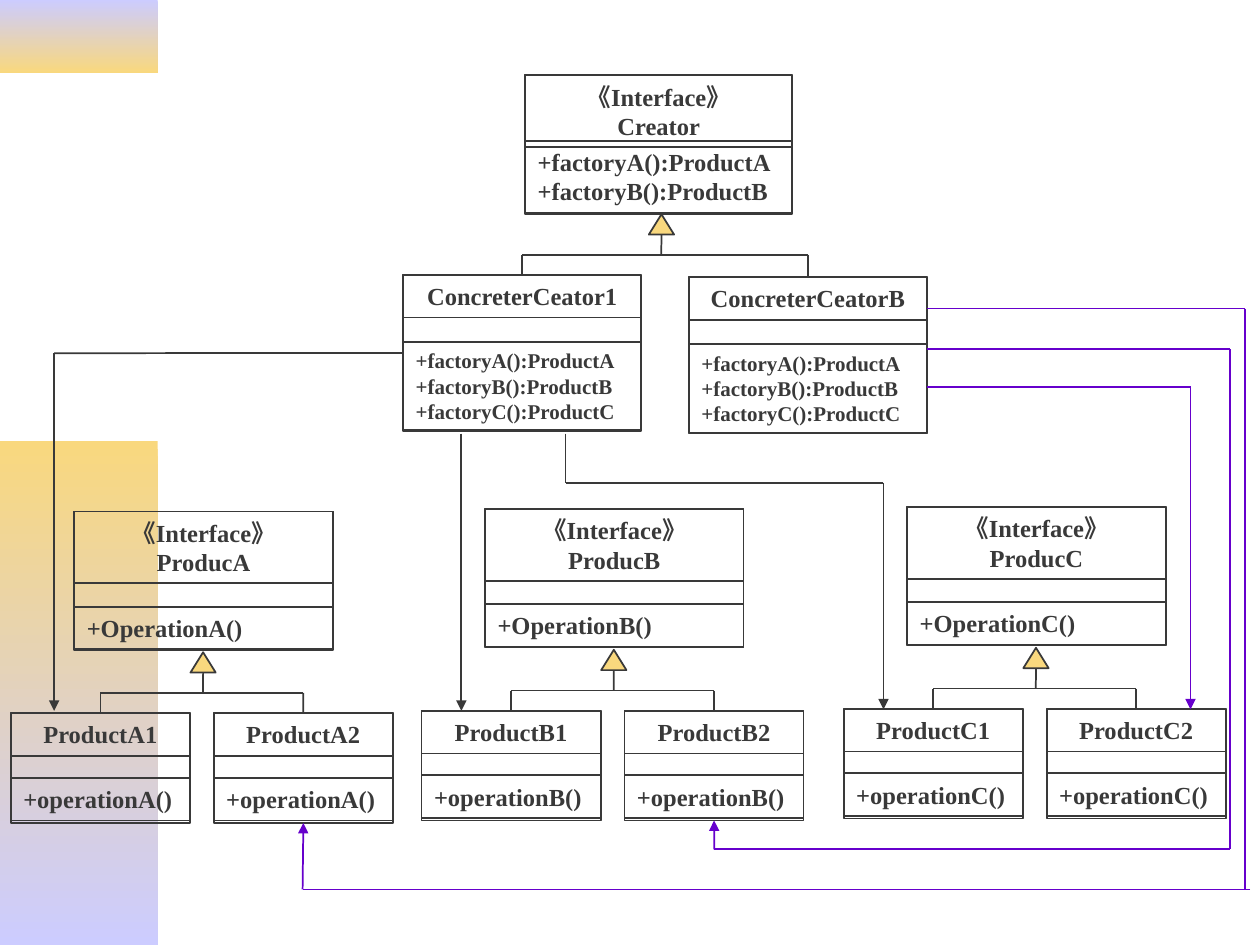
from lxml import etree
from pptx import Presentation
from pptx.dml.color import RGBColor
from pptx.enum.shapes import MSO_CONNECTOR, MSO_SHAPE
from pptx.enum.text import MSO_ANCHOR, MSO_AUTO_SIZE, PP_ALIGN
from pptx.oxml.ns import qn
from pptx.util import Cm, Pt

RECT, TRIANGLE = MSO_SHAPE.RECTANGLE, MSO_SHAPE.FLOWCHART_EXTRACT
STRAIGHT = MSO_CONNECTOR.STRAIGHT
LEFT, CENTER = PP_ALIGN.LEFT, PP_ALIGN.CENTER
TOP_SIDE, LEFT_SIDE, BOTTOM_SIDE = 0, 1, 2
FONT = "Times New Roman"
HEX = {"ink": "393939", "gold": "F9D87E", "lilac": "CCCCFF", "purple": "6600CC"}
COLORS = {name: RGBColor.from_string(value) for name, value in HEX.items()}

# Sizes in cm: width, height, title height, operations offset, operations height, operations pt
CREATOR = (5.38, 2.79, 1.45, 1.32, 1.45, 14)
CONCRETE = (4.8, 3.15, 0.86, 1.35, 1.78, 12)
INTERFACE = (5.21, 2.79, 1.45, 1.92, 0.86, 14)
PRODUCT = (3.61, 2.21, 0.86, 1.3, 0.86, 14)

prs = Presentation()
prs.slide_width, prs.slide_height = Cm(25.4), Cm(19.05)
s = prs.slides.add_slide(prs.slide_layouts[6])


def class_box(x, y, size, title, operations):
    """Draw a class as frame, title and operations; return the frame."""
    w, h, title_h, ops_dy, ops_h, ops_pt = size
    parts = [(0, h, "", CENTER, 14), (0, title_h, title, CENTER, 14),
             (ops_dy, ops_h, operations, LEFT, ops_pt)]
    shapes = []
    for dy, height, text, align, pt in parts:
        sp = s.shapes.add_shape(RECT, Cm(x), Cm(y + dy), Cm(w), Cm(height))
        sp.shadow.inherit = False
        sp.fill.background()
        sp.line.color.rgb = COLORS["ink"]
        sp.line.width = Pt(1)
        shapes.append(sp)
        if not text:
            continue
        tf = sp.text_frame
        tf.word_wrap = True
        tf.auto_size = MSO_AUTO_SIZE.SHAPE_TO_FIT_TEXT
        tf.vertical_anchor = MSO_ANCHOR.TOP
        p = tf.paragraphs[0]
        p.text = text
        p.alignment = align
        for r in p.runs:
            r.font.name, r.font.size, r.font.bold = FONT, Pt(pt), True
            r.font.color.rgb = COLORS["ink"]
    return shapes[0]


def line(start, end, color="ink", arrow=False, begin_at=None, end_at=None):
    """Join two points in cm; begin_at and end_at are (shape, side) pairs."""
    c = s.shapes.add_connector(STRAIGHT, *map(Cm, (*start, *end)))
    c.line.color.rgb = COLORS[color]
    c.line.width = Pt(1)
    if arrow:
        etree.SubElement(c.line._get_or_add_ln(), qn("a:tailEnd"), type="triangle")
    etree.SubElement(c._element.spPr, qn("a:effectLst"))
    if begin_at:
        c.begin_connect(*begin_at)
    if end_at:
        c.end_connect(*end_at)


# Gradient blocks on the left
for y, h, colors in [(0, 1.47, ("lilac", "gold")), (8.89, 10.16, ("gold", "lilac"))]:
    sp = s.shapes.add_shape(RECT, 0, Cm(y), Cm(3.18), Cm(h))
    sp.shadow.inherit = False
    sp.line.fill.background()
    sp.fill.gradient()
    sp.fill.gradient_angle = 270
    for stop, position, color in zip(sp.fill.gradient_stops, (0, 1), colors):
        stop.position = position
        stop.color.rgb = COLORS[color]

# Creators
class_box(10.59, 1.52, CREATOR, "《Interface》\vCreator",
          "+factoryA():ProductA\v+factoryB():ProductB")
factories = "\v".join(f"+factory{k}():Product{k}" for k in "ABC")
creator_1 = class_box(8.13, 5.54, CONCRETE, "ConcreterCeator1", factories)
creator_b = class_box(13.89, 5.59, CONCRETE, "ConcreterCeatorB", factories)
# Triangle left and top, then the subclasses
trees = [(13.08, 4.32, (creator_1, creator_b))]

# Product families
products = {}
for k, x, y in [("A", 1.5, 10.31), ("B", 9.78, 10.26), ("C", 18.29, 10.22)]:
    class_box(x, y, INTERFACE, f"《Interface》\vProduc{k}", f"+Operation{k}()")
    for n, dx in [(1, -1.28), (2, 2.81)]:
        products[f"{k}{n}"] = class_box(x + dx, y + 4.07, PRODUCT,
                                        f"Product{k}{n}", f"+operation{k}()")
    trees.append((x + 2.34, y + 2.84, (products[f"{k}1"], products[f"{k}2"])))

# Inheritance trees
for x, y, children in trees:
    sp = s.shapes.add_shape(TRIANGLE, Cm(x), Cm(y), Cm(0.51), Cm(0.41))
    sp.shadow.inherit = False
    sp.fill.solid()
    sp.fill.fore_color.rgb = COLORS["gold"]
    sp.line.color.rgb = COLORS["ink"]
    sp.line.width = Pt(1)
    bar_y = y + 0.82
    line((x + 0.25, y + 0.41), (x + 0.25, bar_y), begin_at=(sp, BOTTOM_SIDE))
    centers = [child.left.cm + child.width.cm / 2 for child in children]
    for child, center in zip(children, centers):
        line((center, bar_y), (center, child.top.cm), end_at=(child, TOP_SIDE))
    line((centers[0], bar_y), (centers[1], bar_y))

# Creation routes: colour, points, joint at the start, joint at the arrowhead
routes = [
    ("ink", [(8.13, 7.12), (1.09, 7.12), (1.09, 14.33)], (creator_1, LEFT_SIDE), None),
    ("ink", [(9.3, 8.74), (9.3, 14.33)], None, None),
    ("ink", [(11.4, 8.74), (11.4, 9.73), (17.81, 9.73), (17.81, 14.3)], None, None),
    ("purple", [(18.69, 7.8), (24, 7.8), (24, 14.3)], None, None),
    ("purple", [(18.69, 7.04), (24.79, 7.04), (24.79, 17.12), (14.4, 17.12),
                (14.4, 16.54)], None, (products["B2"], BOTTOM_SIDE)),
    ("purple", [(18.69, 6.22), (25.1, 6.22), (25.1, 17.93)], None, None),
    ("purple", [(25.2, 17.93), (6.1, 17.93), (6.1, 16.59)], None,
     (products["A2"], BOTTOM_SIDE)),
]
for color, points, begin_at, end_at in routes:
    last = len(points) - 2
    for i, (start, end) in enumerate(zip(points, points[1:])):
        # The outer route runs off its corner, so its first part has no arrowhead
        arrow = i == last and end != (25.1, 17.93)
        line(start, end, color, arrow, begin_at if i == 0 else None,
             end_at if i == last else None)

prs.save("out.pptx")
